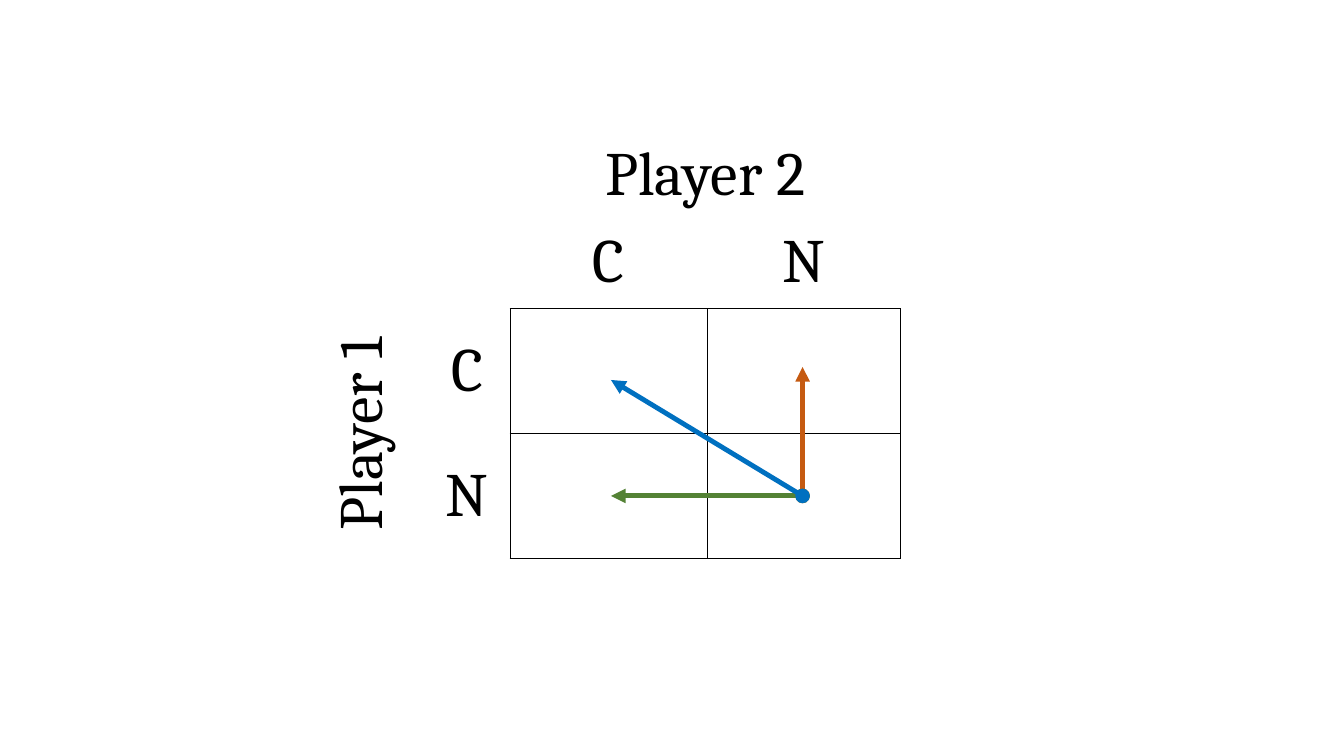
"""Build a slide with a two-player game grid and three arrows between its cells."""
from lxml.etree import SubElement
from pptx import Presentation
from pptx.dml.color import RGBColor as RGB
from pptx.enum.shapes import MSO_CONNECTOR as LINK
from pptx.enum.text import MSO_ANCHOR as ANCHOR, PP_ALIGN as ALIGN
from pptx.oxml import parse_xml
from pptx.oxml.ns import nsdecls, qn
from pptx.util import Inches, Pt

COLORS = {"ink": "000000", "up": "C55A11", "left": "548235", "both": "0070C0"}


def label(cell, text):
    cell.text = text
    cell.vertical_anchor = ANCHOR.MIDDLE
    para = cell.text_frame.paragraphs[0]
    para.alignment = ALIGN.CENTER
    para.font.name = "Cambria"
    para.font.size = Pt(44)
    para.font.color.rgb = RGB.from_string(COLORS["ink"])


def border(cell, sides):
    props = cell._tc.get_or_add_tcPr()
    for spot, side in enumerate(sides):
        props.insert(spot, parse_xml(
            f'<a:ln{side} {nsdecls("a")} w="{Pt(1)}"><a:solidFill>'
            f'<a:srgbClr val="{COLORS["ink"]}"/></a:solidFill></a:ln{side}>'))


deck = Presentation()
deck.slide_width, deck.slide_height = Inches(13.33), Inches(7.5)
slide = deck.slides.add_slide(deck.slide_layouts[6])

widths = [1.02, 0.85, 1.96, 1.91]
heights = [0.76, 0.92, 1.24, 1.24]
frame = slide.shapes.add_table(4, 4, Inches(3.19), Inches(1.34),
                               Inches(sum(widths)), Inches(sum(heights)))
grid = frame.table
grid.first_row = grid.horz_banding = False
style = grid._tbl.tblPr.find(qn("a:tableStyleId"))
style.text = "{2D5ABB26-0587-4C30-8999-92F81FD0307C}"
for col, width in zip(grid.columns, widths):
    col.width = Inches(width)
for row, height in zip(grid.rows, heights):
    row.height = Inches(height)
for cell in grid.iter_cells():
    cell.fill.background()

grid.cell(0, 2).merge(grid.cell(0, 3))
grid.cell(2, 0).merge(grid.cell(3, 0))
label(grid.cell(0, 2), "Player 2")
label(grid.cell(2, 0), "Player 1")
grid.cell(2, 0)._tc.get_or_add_tcPr().set("vert", "vert270")

for spot, move in enumerate("CN", 2):
    label(grid.cell(1, spot), move)
    label(grid.cell(spot, 1), move)
    border(grid.cell(1, spot), "B")
    border(grid.cell(spot, 1), "R")
    for col in (2, 3):
        border(grid.cell(spot, col), "LRTB")

start = Inches(7.96), Inches(4.92)
for name, x, y in [("up", 7.96, 3.64), ("left", 6.06, 4.92), ("both", 6.06, 3.77)]:
    arrow = slide.shapes.add_connector(LINK.STRAIGHT, *start, Inches(x), Inches(y))
    arrow.line.color.rgb = RGB.from_string(COLORS[name])
    arrow.line.width = Pt(3.5)
    props = arrow._element.spPr
    line = props.find(qn("a:ln"))
    SubElement(line, qn("a:headEnd"), type="oval")
    SubElement(line, qn("a:tailEnd"), type="triangle")
    SubElement(props, qn("a:effectLst"))

deck.save("out.pptx")
